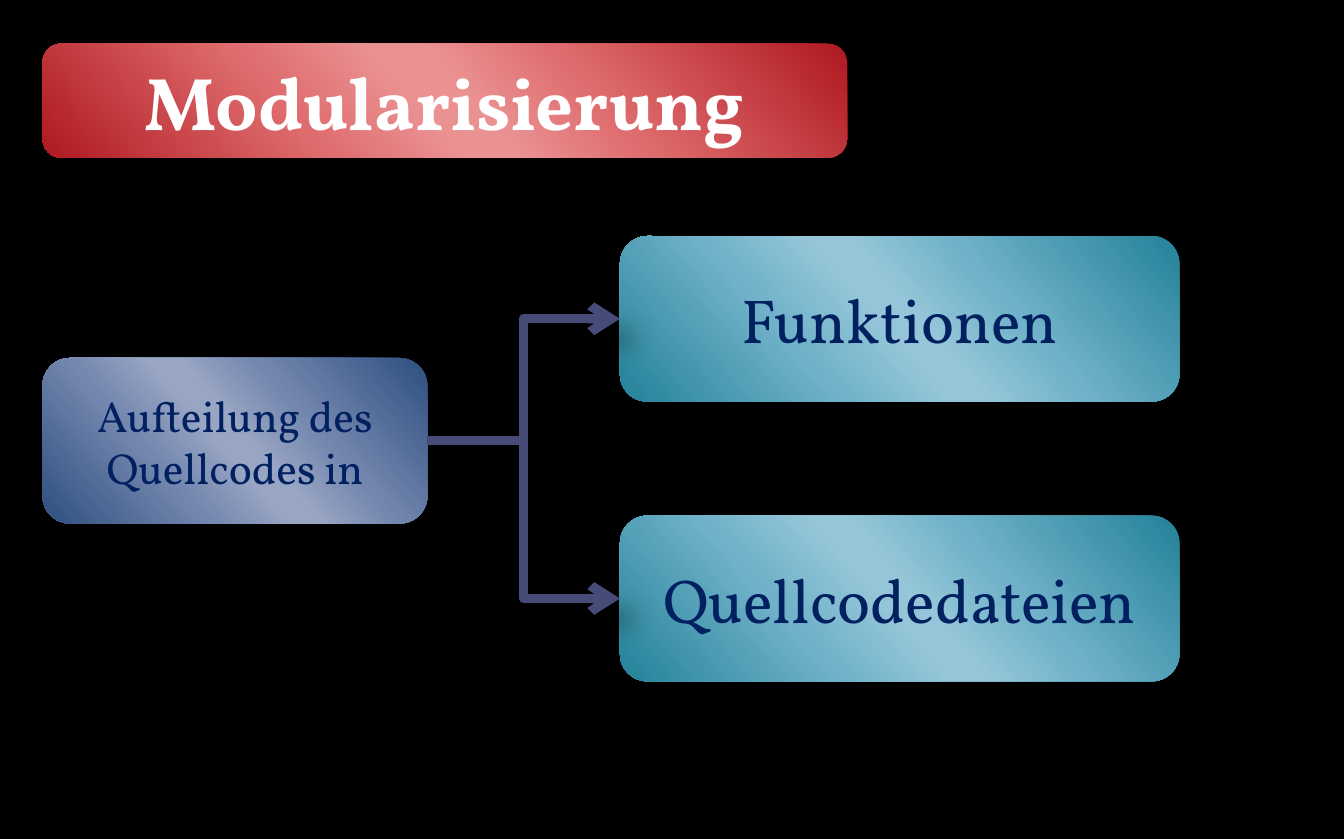
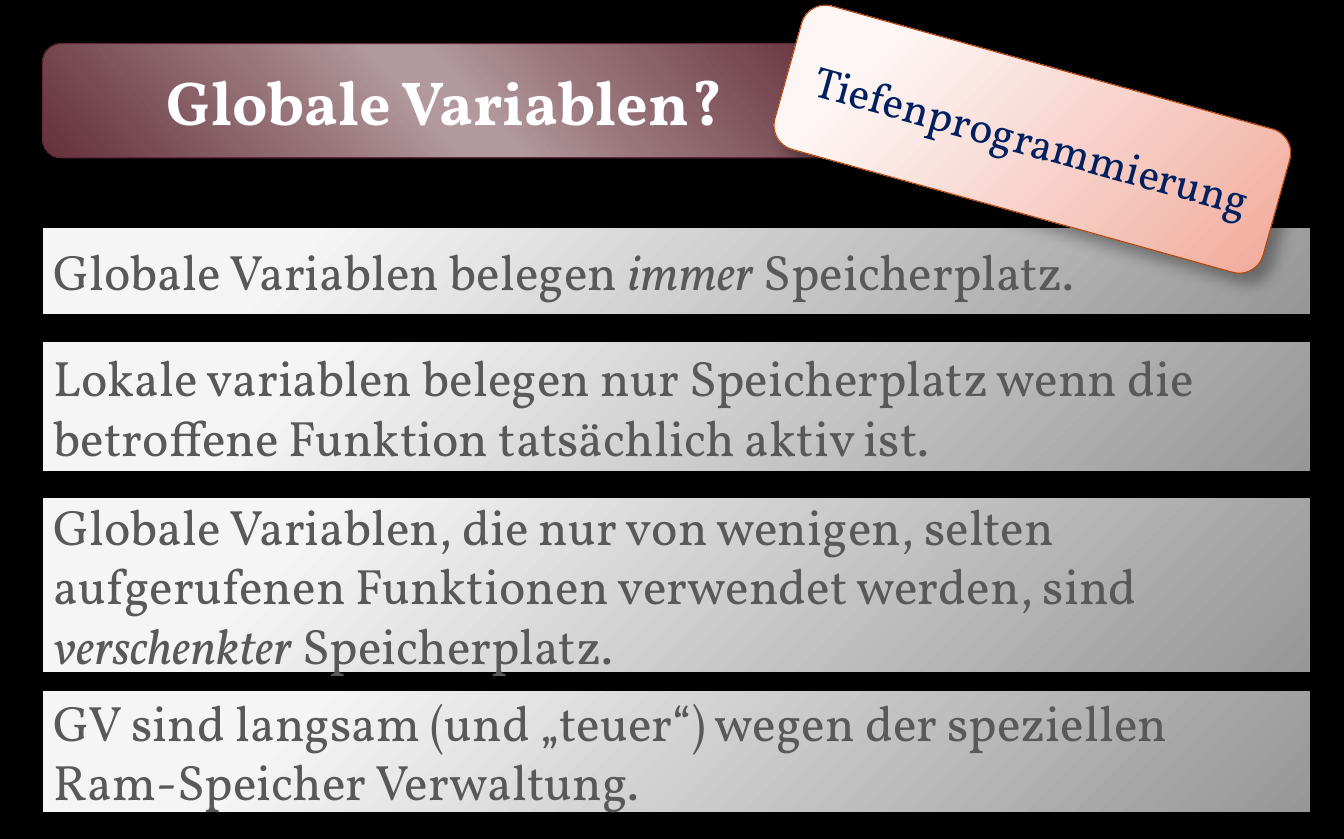
import pptx
import pptx.util
import pptx.dml.color
import pptx.enum.shapes
import pptx.enum.text
import pptx.oxml
import pptx.oxml.ns

Inches = pptx.util.Inches
Pt = pptx.util.Pt
KINDS = pptx.enum.shapes.MSO_SHAPE
ALIGN = pptx.enum.text.PP_ALIGN

FONT = "Vollkorn"
BLACK, WHITE, NAVY, GREY = "000000", "FFFFFF", "002060", "595959"
LINK = "474B78"
LEFT = 0.38
TITLE = (LEFT, 0.39, 7.19, 1.02)

# Edge, flank and middle colours of the glossy bands
RED = ("AF1920", "DF6D6F", "EA9192")
TEAL = ("248299", "70B2C9", "94C5D8")
BLUE = ("2E4F7E", "7487AF", "98A5C3")
WINE = ("64303B", "98757B", "B2999D")
# Inner and outer colours of the radial fills
SILVER = ("F5F5F5", "979797")
ROSE = ("FDF6F5", "F1A898")

# Opacity in percent, blur and distance in points
DEEP = (26, 15, 18)
SOFT = (35, 10.2, 8)


def color(code):
    """Turn a hex string into a colour."""
    return pptx.dml.color.RGBColor.from_string(code)


def make_xml(tag, body):
    """Build a DrawingML element around the given content."""
    space = pptx.oxml.ns.nsdecls("a")
    return pptx.oxml.parse_xml(f"<a:{tag} {space}>{body}</a:{tag}>")


def cast(shape, shadow):
    """Give a shape or connector an outer shadow to the lower right."""
    alpha, blur, dist = shadow
    shape._element.spPr.append(make_xml("effectLst", (
        f'<a:outerShdw blurRad="{Pt(blur)}" dist="{Pt(dist)}" dir="2700000" '
        f'rotWithShape="0"><a:srgbClr val="{BLACK}">'
        f'<a:alpha val="{alpha * 1000}"/></a:srgbClr></a:outerShdw>')))


def blend(shape, stops, course):
    """Fill a shape with a gradient of (percent, colour) stops."""
    marks = "".join(
        f'<a:gs pos="{place * 1000}"><a:srgbClr val="{code}"/></a:gs>'
        for place, code in stops)
    fill = make_xml("gradFill", f"<a:gsLst>{marks}</a:gsLst>{course}")
    shape._element.spPr.insert(2, fill)


def gloss(shape, tones):
    """Fill a shape with a bright diagonal band."""
    edge, flank, middle = tones
    stops = [(0, edge), (33, flank), (47, middle),
             (53, middle), (68, flank), (100, edge)]
    blend(shape, stops, '<a:lin ang="8340000" scaled="0"/>')


def glow(shape, tones):
    """Fill a shape with light spreading from the upper left."""
    blend(shape, zip((20, 100), tones),
          '<a:path path="circle"><a:fillToRect l="-15000" t="-15000" '
          'r="115000" b="115000"/></a:path>')


def write(shape, text, size, ink, bold=False, align=ALIGN.CENTER):
    """Set the text; parts between asterisks become italic."""
    shape.text_frame.word_wrap = True
    para = shape.text_frame.paragraphs[0]
    para.alignment = align
    font = para.font
    font.name, font.size, font.bold = FONT, Pt(size), bold
    font.color.rgb = color(ink)
    for index, part in enumerate(text.split("*")):
        if part:
            run = para.add_run()
            run.text = part
            if index % 2:
                run.font.italic = True


def add_box(slide, place, paint, tones, shadow, edge=None,
            kind=KINDS.ROUNDED_RECTANGLE):
    """Add a gradient box with a shadow and, if asked, an outline."""
    box = slide.shapes.add_shape(kind, *map(Inches, place))
    if edge:
        box.line.color.rgb = color(edge)
        box.line.width = Pt(0.75)
    else:
        box.line.fill.background()
    paint(box, tones)
    cast(box, shadow)
    return box


def add_title(slide, text, size, tones, edge=None):
    """Add the title band."""
    band = add_box(slide, TITLE, gloss, tones, DEEP, edge)
    write(band, text, size, WHITE, bold=True)


def add_node(slide, place, text, size, tones):
    """Add a labelled node of the diagram."""
    node = add_box(slide, place, gloss, tones, DEEP)
    write(node, text, size, NAVY)
    return node


def add_link(slide, start, end):
    """Join two nodes, right side to left side, with an elbow arrow."""
    elbow = pptx.enum.shapes.MSO_CONNECTOR.ELBOW
    link = slide.shapes.add_connector(elbow, 0, 0, 0, 0)
    link.begin_connect(start, 3)
    link.end_connect(end, 1)
    link.line.color.rgb = color(LINK)
    link.line.width = Pt(6)
    link.line._get_or_add_ln().append(
        pptx.oxml.parse_xml(
            f'<a:tailEnd {pptx.oxml.ns.nsdecls("a")} type="arrow"/>'))
    cast(link, DEEP)


def add_bar(slide, top, height, text):
    """Add a full-width statement bar."""
    bar = add_box(slide, (LEFT, top, 11.33, height), glow, SILVER, SOFT,
                  BLACK, KINDS.RECTANGLE)
    write(bar, text, 32, GREY, align=ALIGN.LEFT)


def add_tag(slide, place, turn, text):
    """Add a tilted label."""
    tag = add_box(slide, place, glow, ROSE, SOFT, "B2460C")
    tag.rotation = turn
    write(tag, text, 28, NAVY)


def add_slide(deck):
    """Add a blank slide with a black background."""
    slide = deck.slides.add_slide(deck.slide_layouts[6])
    slide.background.fill.solid()
    slide.background.fill.fore_color.rgb = color(BLACK)
    return slide


def draw_modules(deck):
    """Build the slide on splitting source code."""
    slide = add_slide(deck)
    add_title(slide, "Modularisierung", 48, RED)
    goals = [add_node(slide, (5.54, top, 5, 1.48), text, 40, TEAL)
             for top, text in ((2.11, "Funktionen"),
                               (4.61, "Quellcodedateien"))]
    root = add_node(slide, (LEFT, 3.2, 3.44, 1.48),
                    "Aufteilung des Quellcodes in", 28, BLUE)
    for goal in goals:
        add_link(slide, root, goal)


def draw_globals(deck):
    """Build the slide on global variables."""
    slide = add_slide(deck)
    add_title(slide, "Globale Variablen?", 40, WINE, "5D2934")
    bars = [
        (2.03, 0.78, "Globale Variablen belegen *immer* Speicherplatz."),
        (3.05, 1.17, "Lokale variablen belegen nur Speicherplatz wenn die "
                     "betroffene Funktion tatsächlich aktiv ist."),
        (4.45, 1.56, "Globale Variablen, die nur von wenigen, selten "
                     "aufgerufenen Funktionen verwendet werden, sind "
                     "*verschenkter* Speicherplatz."),
        (6.17, 1.09, "GV sind langsam (und „teuer“) wegen der speziellen "
                     "Ram-Speicher Verwaltung."),
    ]
    for bar in bars:
        add_bar(slide, *bar)
    add_tag(slide, (6.96, 0.58, 4.53, 1.33), 15.6, "Tiefenprogrammierung")


def main():
    """Build and save the deck."""
    deck = pptx.Presentation()
    deck.slide_width, deck.slide_height = Inches(12.01), Inches(7.5)
    draw_modules(deck)
    draw_globals(deck)
    deck.save("out.pptx")


main()
